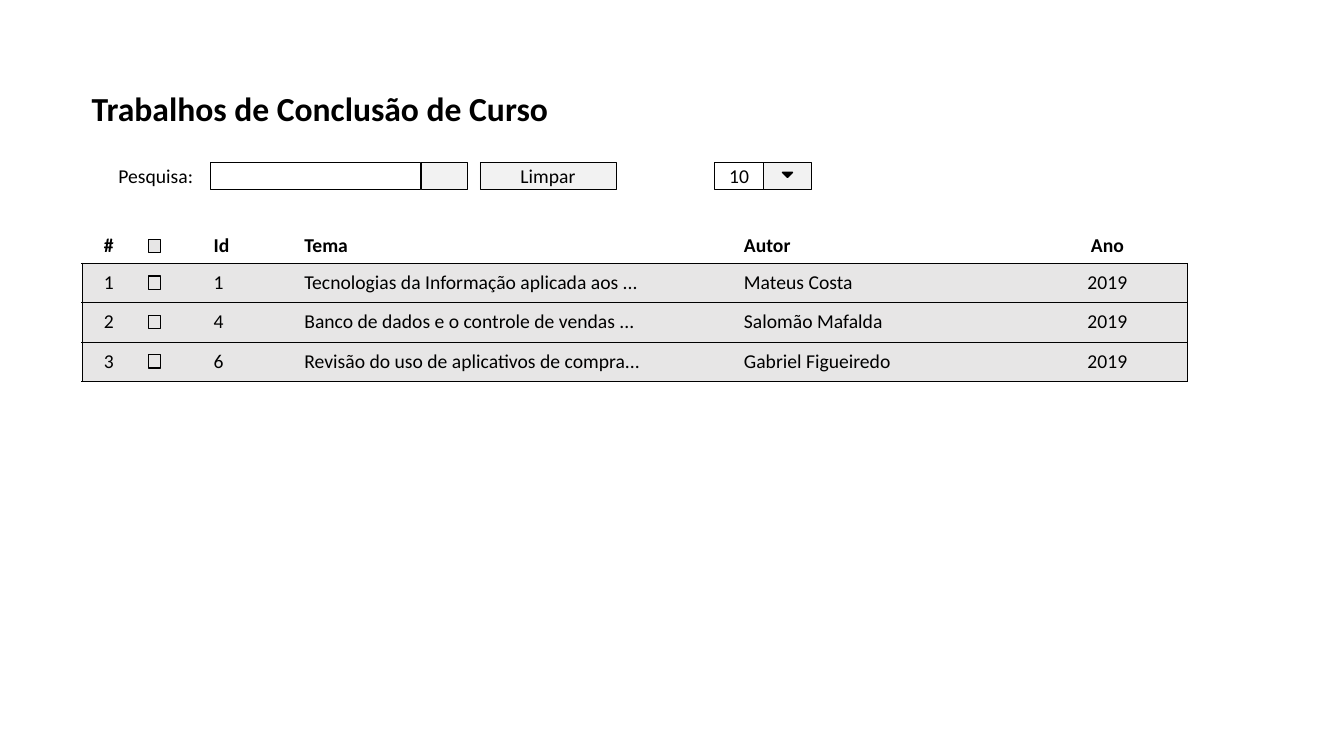
import pptx
import pptx.util
import pptx.dml.color
import pptx.enum.shapes
import pptx.enum.text
from lxml import etree

Inches, Pt = pptx.util.Inches, pptx.util.Pt
SHAPE = pptx.enum.shapes.MSO_SHAPE
ALIGN = pptx.enum.text.PP_ALIGN
ANCHOR = pptx.enum.text.MSO_ANCHOR
BLACK, BUTTON, ROW = "000000", "F2F2F2", "E7E6E6"

heading = "Trabalhos de Conclusão de Curso"
search_label = "Pesquisa:"
controls = [
    ("", 2.09, 2.08, None, 0.75),
    ("", 4.18, 0.46, BUTTON, 0.75),
    ("10", 7.09, 0.48, None, 0.75),
    ("", 7.57, 0.48, BUTTON, 0.75),
    ("Limpar", 4.76, 1.35, BUTTON, 0.25),
]
works = [
    ("#", "", "Id", "Tema", "Autor", "Ano"),
    ("1", "", "1", "Tecnologias da Informação aplicada aos ...", "Mateus Costa", "2019"),
    ("2", "", "4", "Banco de dados e o controle de vendas ...", "Salomão Mafalda", "2019"),
    ("3", "", "6", "Revisão do uso de aplicativos de compra...", "Gabriel Figueiredo", "2019"),
]
column_edges = [0.81, 1.3, 2.02, 2.92, 7.28, 10.67, 11.78]
table_top, header_height, row_height = 2.27, 0.34, 0.39


def color(value):
    return pptx.dml.color.RGBColor.from_string(value)


def write(frame, text, size=14, bold=False, align=ALIGN.LEFT):
    paragraph = frame.paragraphs[0]
    paragraph.alignment = align
    run = paragraph.add_run()
    run.text = text
    run.font.name, run.font.size, run.font.bold = "Calibri", Pt(size), bold
    run.font.color.rgb = color(BLACK)


def paint(target, fill):
    if fill:
        target.fill.solid()
        target.fill.fore_color.rgb = color(fill)
    else:
        target.fill.background()


def draw(kind, left, top, width, height, fill, weight):
    shape = slide.shapes.add_shape(kind, Inches(left), Inches(top), Inches(width), Inches(height))
    shape.shadow.inherit = False
    paint(shape, fill)
    shape.line.color.rgb = color(BLACK)
    shape.line.width = Pt(weight)
    return shape


def set_borders(cell, visible):
    properties = cell._tc.get_or_add_tcPr()
    for index, side in enumerate("LRTB"):
        line = pptx.oxml.parse_xml(
            f'<a:ln{side} xmlns:a="http://schemas.openxmlformats.org/drawingml/2006/main"/>')
        if side in visible:
            line.set("w", str(Pt(0.25)))
            solid = etree.SubElement(line, pptx.oxml.ns.qn("a:solidFill"))
            etree.SubElement(solid, pptx.oxml.ns.qn("a:srgbClr")).set("val", BLACK)
        else:
            etree.SubElement(line, pptx.oxml.ns.qn("a:noFill"))
        properties.insert(index, line)


deck = pptx.Presentation()
deck.slide_width, deck.slide_height = Inches(13.33), Inches(7.5)
slide = deck.slides.add_slide(deck.slide_layouts[5])

title = slide.shapes.title
title.left, title.top, title.width, title.height = map(Inches, (0.81, 0.82, 5.46, 0.5))
title.text_frame.auto_size = pptx.enum.text.MSO_AUTO_SIZE.NONE
title.text_frame.vertical_anchor = ANCHOR.TOP
write(title.text_frame, heading, size=24, bold=True)

search = slide.shapes.add_textbox(Inches(1.07), Inches(1.58), Inches(0.95), Inches(0.34))
write(search.text_frame, search_label, align=ALIGN.CENTER)

for text, left, width, fill, weight in controls:
    control = draw(SHAPE.RECTANGLE, left, 1.61, width, 0.27, fill, weight)
    if text:
        control.text_frame.vertical_anchor = ANCHOR.MIDDLE
        write(control.text_frame, text, align=ALIGN.CENTER)
dropdown_arrow = draw(SHAPE.ISOSCELES_TRIANGLE, 7.76, 1.71, 0.1, 0.05, BLACK, 1)
dropdown_arrow.rotation = 180

last_column = len(column_edges) - 2
listing = slide.shapes.add_table(
    len(works), last_column + 1, Inches(column_edges[0]), Inches(table_top),
    Inches(column_edges[-1] - column_edges[0]),
    Inches(header_height + row_height * (len(works) - 1))).table
listing.first_row = listing.horz_banding = False
for column, left, right in zip(listing.columns, column_edges, column_edges[1:]):
    column.width = Inches(right - left)

for row, work in enumerate(works):
    is_header = row == 0
    height = header_height if is_header else row_height
    top = table_top if is_header else table_top + header_height + (row - 1) * row_height
    listing.rows[row].height = Inches(height)
    for column, text in enumerate(work):
        is_year = column == last_column
        cell = listing.cell(row, column)
        cell.margin_top = cell.margin_bottom = 0
        cell.margin_left = Inches(0.22 if column == 0 else 0 if is_year else 0.1)
        cell.margin_right = Inches(0.48 if is_year else 0)
        cell.vertical_anchor = ANCHOR.MIDDLE
        paint(cell, None if is_header else ROW)
        sides = "B" if is_header else "TB" + "L" * (column == 0) + "R" * is_year
        set_borders(cell, sides)
        if text:
            write(cell.text_frame, text, bold=is_header,
                  align=ALIGN.CENTER if is_year else ALIGN.LEFT)
    draw(SHAPE.RECTANGLE, 1.47, top + (height - 0.13) / 2, 0.12, 0.13, ROW, 1)

deck.save("out.pptx")
